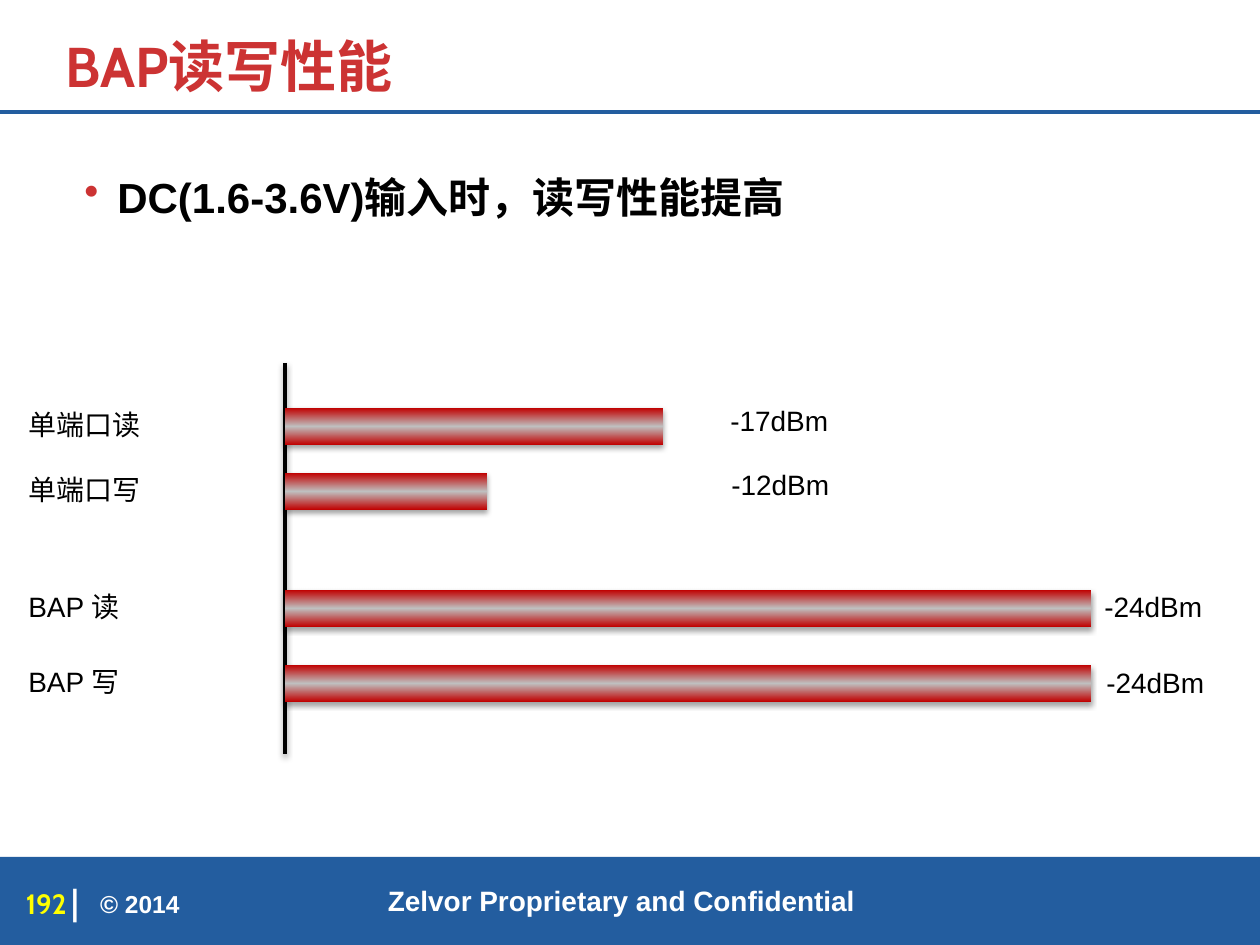
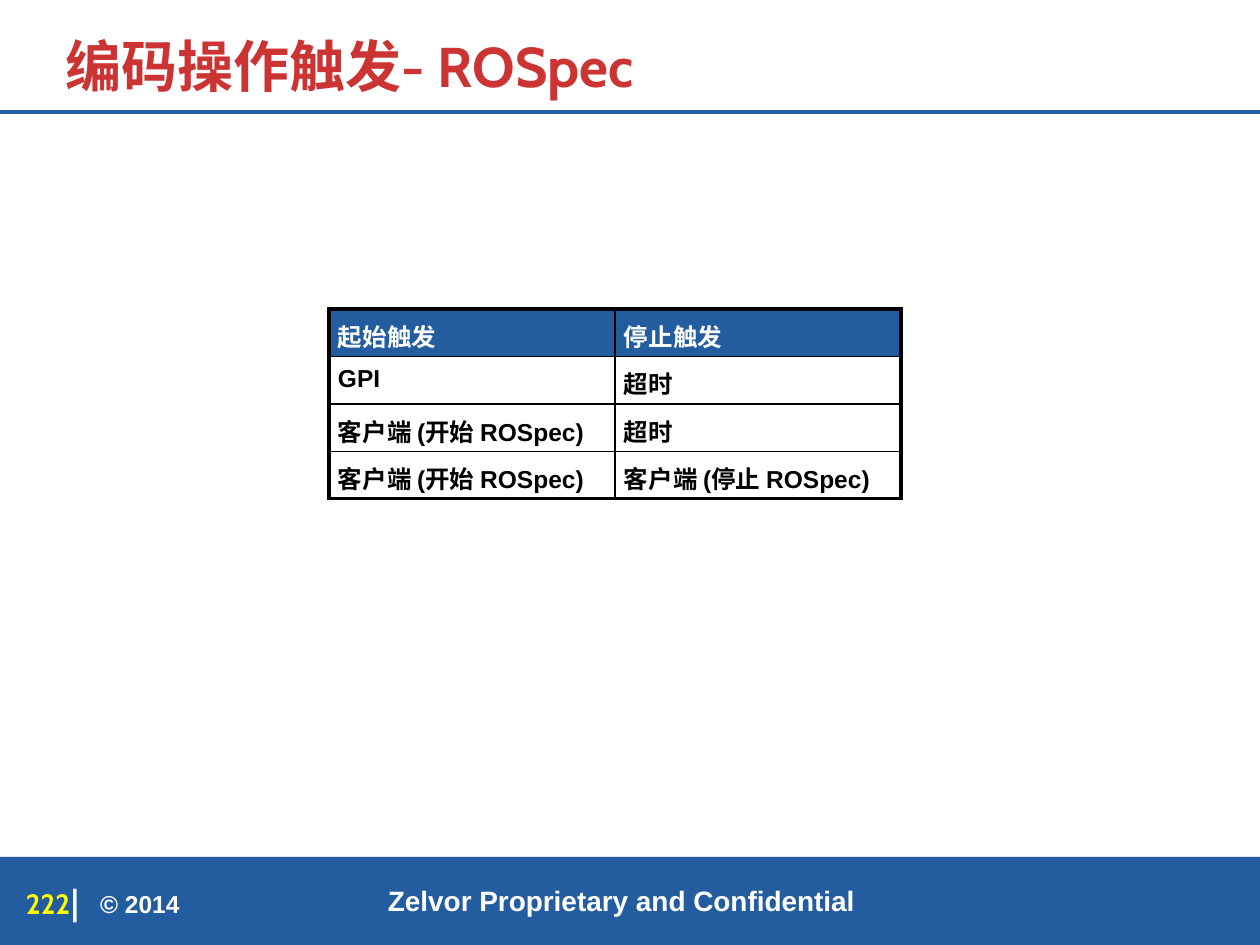
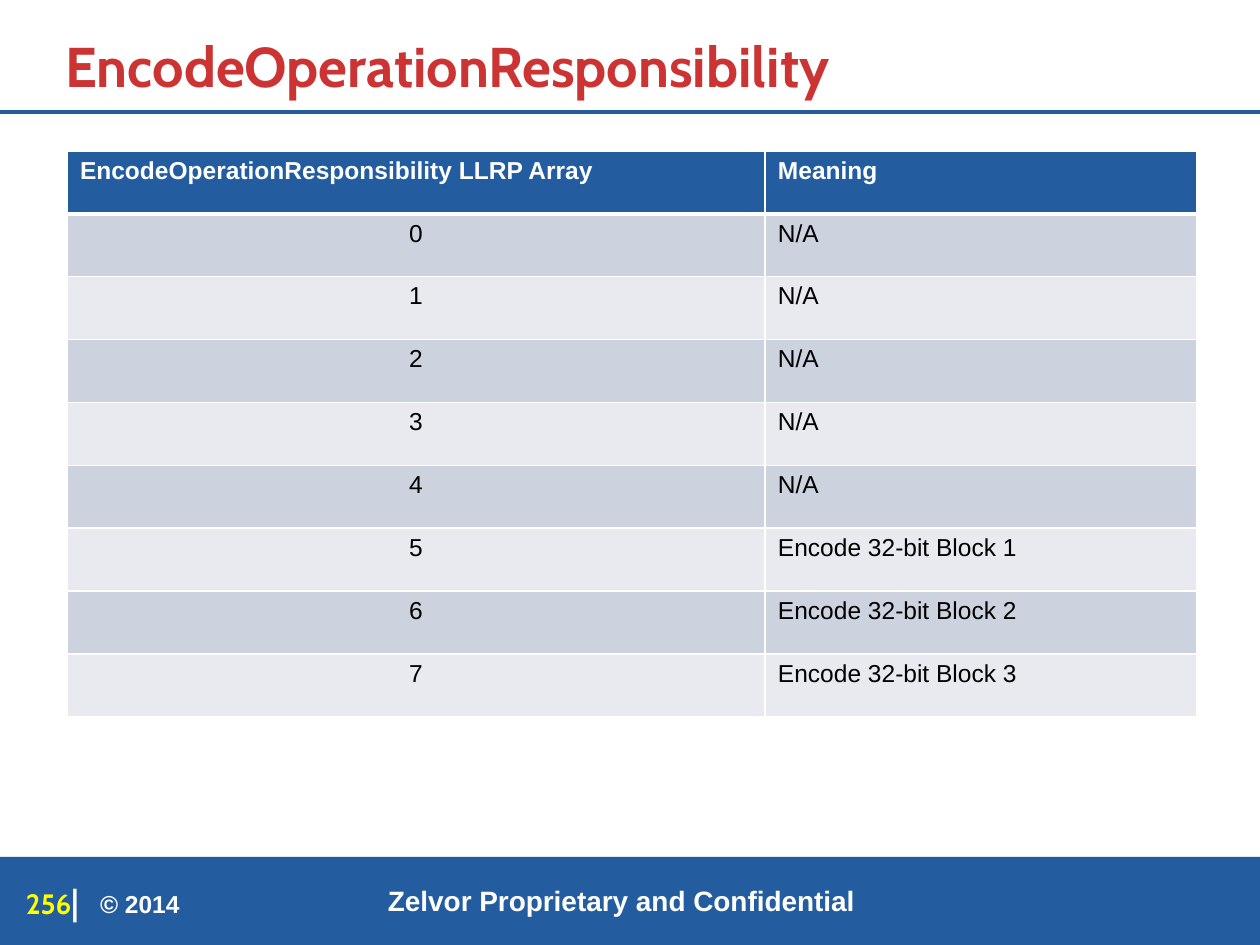
"""Build three training slides: a bar drawing and two tables under one shared frame."""
import copy

import lxml.etree
import pptx
import pptx.dml.color
import pptx.enum.shapes
import pptx.enum.text
import pptx.oxml.ns
import pptx.util

PX = 914400 // 126
RGB = pptx.dml.color.RGBColor
BLUE = RGB(0x23, 0x5D, 0x9F)
RED = RGB(0xCC, 0x33, 0x33)
DARK = RGB(0xC0, 0x00, 0x00)
GRAY = RGB(0xBF, 0xBF, 0xBF)
WHITE = RGB(0xFF, 0xFF, 0xFF)
BLACK = RGB(0x00, 0x00, 0x00)
YELLOW = RGB(0xFF, 0xFF, 0x00)
BANDS = [RGB(0xE8, 0xEA, 0xF0), RGB(0xCD, 0xD2, 0xDF)]

qn = pptx.oxml.ns.qn
add = lxml.etree.SubElement
RECT = pptx.enum.shapes.MSO_SHAPE.RECTANGLE
LINE = pptx.enum.shapes.MSO_CONNECTOR.STRAIGHT
TOP = pptx.enum.text.MSO_ANCHOR.TOP
MIDDLE = pptx.enum.text.MSO_ANCHOR.MIDDLE
BOTTOM = pptx.enum.text.MSO_ANCHOR.BOTTOM
LEFT = pptx.enum.text.PP_ALIGN.LEFT
CENTER = pptx.enum.text.PP_ALIGN.CENTER


def write(frame, text, size=16, color=BLACK, bold=False, font="Arial", align=LEFT, lead=None):
    line = frame.paragraphs[0]
    line.alignment = align
    line.line_spacing = lead
    run = line.add_run()
    run.text = text
    run.font.size = pptx.util.Pt(size)
    run.font.color.rgb = color
    run.font.bold = bold
    run.font.name = font
    return line


def place(slide, text, x, y, w, h, anchor=TOP, inset=True, **form):
    frame = slide.shapes.add_textbox(x * PX, y * PX, w * PX, h * PX).text_frame
    frame.word_wrap = True
    frame.vertical_anchor = anchor
    if not inset:
        frame.margin_left = frame.margin_right = 0
        frame.margin_top = frame.margin_bottom = 0
    return write(frame, text, **form)


deck = pptx.Presentation()
deck.slide_width = pptx.util.Inches(10)
deck.slide_height = pptx.util.Inches(7.5)

RULE = (0, 112, 1261, 112, BLUE, 2.25)
AXIS = (285, 363, 285, 754, BLACK, 2)
frames = [
    ("192", "BAP读写性能", [RULE, AXIS]),
    ("222", "编码操作触发- ROSpec", [RULE]),
    ("256", "EncodeOperationResponsibility", [RULE]),
]
slides = []
for page, title, rules in frames:
    slide = deck.slides.add_slide(deck.slide_layouts[6])
    slides.append(slide)
    band = slide.shapes.add_shape(RECT, 0, 857 * PX, 1260 * PX, 88 * PX)
    band.shadow.inherit = False
    band.fill.solid()
    band.fill.fore_color.rgb = BLUE
    band.line.fill.background()
    place(slide, "Zelvor Proprietary and Confidential", 358, 883, 527, 34,
          anchor=BOTTOM, inset=False, color=WHITE, bold=True, align=CENTER)
    place(slide, "© 2014", 100, 888, 210, 32,
          anchor=MIDDLE, inset=False, size=14, color=WHITE, bold=True)
    place(slide, page, 26, 887, 63, 32,
          anchor=MIDDLE, inset=False, color=YELLOW, bold=True, font="Cabin")
    place(slide, "|", 71, 887, 33, 29,
          anchor=MIDDLE, inset=False, size=20, color=WHITE, bold=True, font="Cabin")
    place(slide, title, 53, 5, 1164, 100,
          anchor=BOTTOM, size=32, color=RED, bold=True, font="Cabin", lead=0.85)
    for x1, y1, x2, y2, color, width in rules:
        rule = slide.shapes.add_connector(LINE, x1 * PX, y1 * PX, x2 * PX, y2 * PX)
        rule.line.color.rgb = color
        rule.line.width = pptx.util.Pt(width)
        add(rule._element.spPr, qn("a:effectLst"))

chart, *grids = slides
shaded = [chart.shapes[-1]]

point = place(chart, "DC(1.6-3.6V)输入时，读写性能提高", 72, 165, 1134, 146, size=24, bold=True)
props = point._p.get_or_add_pPr()
props.set("marL", str(33 * PX))
props.set("indent", str(-33 * PX))
tint = add(props, qn("a:buClr"))
add(tint, qn("a:srgbClr"), val=str(RED))
add(props, qn("a:buChar"), char="•")

bars = [
    ("单端口读", 408, 378, "-17dBm", 718, 397),
    ("单端口写", 473, 202, "-12dBm", 719, 461),
    ("BAP 读", 590, 806, "-24dBm", 1092, 583),
    ("BAP 写", 665, 806, "-24dBm", 1094, 659),
]
for label, top, length, value, x, y in bars:
    bar = chart.shapes.add_shape(RECT, 285 * PX, top * PX, length * PX, 37 * PX)
    bar.shadow.inherit = False
    bar.line.fill.background()
    bar.fill.gradient()
    bar.fill.gradient_angle = 270
    stops = bar._element.spPr.find(".//" + qn("a:gsLst"))
    stops.append(copy.deepcopy(stops[0]))
    for stop, pos, color in zip(bar.fill.gradient_stops, (0, 0.5, 1), (DARK, GRAY, DARK)):
        stop.position = pos
        stop.color.rgb = color
    shaded.append(bar)
    place(chart, label, 16, top - 7, 265, 47)
    place(chart, value, x, y, 132, 47)

for item in shaded:
    glow = add(item._element.spPr.find(qn("a:effectLst")), qn("a:outerShdw"),
               blurRad="40000", dist="22000", dir="5400000", rotWithShape="0")
    ink = add(glow, qn("a:srgbClr"), val=str(BLACK))
    add(ink, qn("a:alpha"), val="36000")

triggers = [
    ("起始触发", "停止触发"),
    ("GPI", "超时"),
    ("客户端 (开始 ROSpec)", "超时"),
    ("客户端 (开始 ROSpec)", "客户端 (停止 ROSpec)"),
]
duties = [("EncodeOperationResponsibility LLRP Array", "Meaning")]
for num in range(8):
    duties.append((str(num), "N/A" if num < 5 else f"Encode 32-bit Block {num - 4}"))

tables = [
    dict(rows=triggers, x=329, y=309, height=188, cols=(286, 286), pad=(9, 9), edge=BLACK,
         outer=2.25, head=1, bold=True, bands=None, first=LEFT),
    dict(rows=duties, x=67, y=151, height=566, cols=(698, 432), pad=(13, 6), edge=WHITE,
         outer=1, head=3, bold=False, bands=BANDS, first=CENTER),
]
for slide, look in zip(grids, tables):
    rows, cols = look["rows"], look["cols"]
    grid = slide.shapes.add_table(len(rows), len(cols), look["x"] * PX, look["y"] * PX,
                                  sum(cols) * PX, look["height"] * PX).table
    grid.horz_banding = False
    for col, width in zip(grid.columns, cols):
        col.width = width * PX
    outer = look["outer"]
    across = [outer, look["head"], *[1] * (len(rows) - 2), outer]
    down = [outer, 1, outer]
    for r, row in enumerate(rows):
        for c, text in enumerate(row):
            cell = grid.cell(r, c)
            side, end = look["pad"]
            cell.margin_left = cell.margin_right = side * PX
            cell.margin_top = cell.margin_bottom = end * PX
            props = cell._tc.get_or_add_tcPr()
            sides = zip("LRTB", (down[c], down[c + 1], across[r], across[r + 1]))
            for name, width in sides:
                edge = add(props, qn("a:ln" + name), w=str(pptx.util.Pt(width)))
                fill = add(edge, qn("a:solidFill"))
                add(fill, qn("a:srgbClr"), val=str(look["edge"]))
            if r and not look["bands"]:
                cell.fill.background()
            else:
                cell.fill.solid()
                cell.fill.fore_color.rgb = look["bands"][r % 2] if r else BLUE
            write(cell.text_frame, text, size=14, color=BLACK if r else WHITE,
                  bold=look["bold"] or r == 0, align=look["first"] if r and c == 0 else LEFT)

deck.save("out.pptx")
